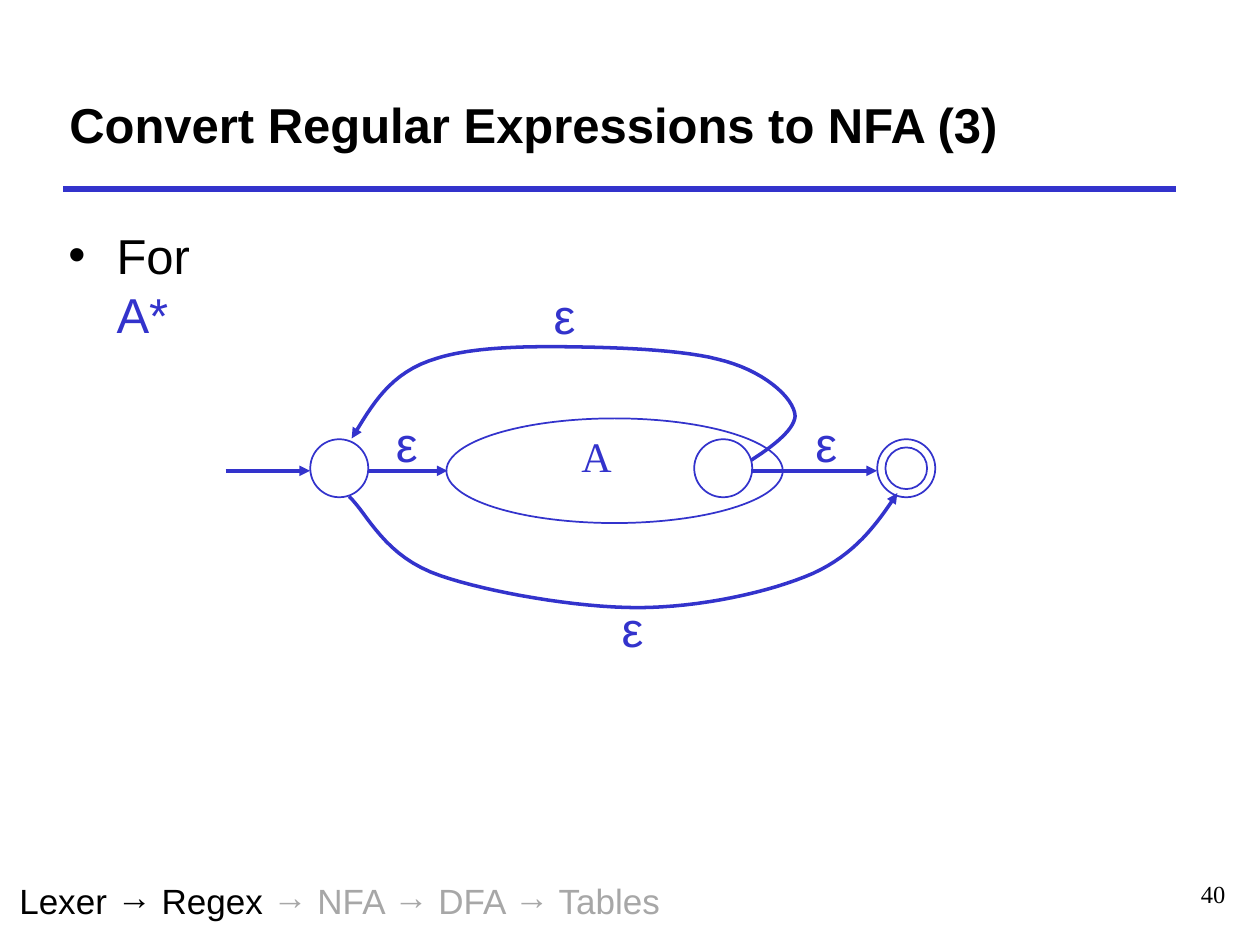
from lxml.etree import SubElement
from pptx import Presentation
from pptx.dml.color import RGBColor
from pptx.enum.shapes import MSO_CONNECTOR, MSO_SHAPE
from pptx.oxml.ns import qn
from pptx.util import Cm, Pt

BLACK = RGBColor(0x00, 0x00, 0x00)
BLUE = RGBColor(0x33, 0x33, 0xCC)
GRAY = RGBColor(0xA7, 0xA7, 0xA7)

BODY = {"name": "Arial", "size": Pt(28)}
FOOTER = {"name": "Arial", "size": Pt(20)}
ARROW = {"name": "Arial Narrow", "size": Pt(20)}
SERIF = {"name": "Times New Roman"}

LOOP_BACK = [
    (10.59, 3.56), (10.95, 3.33), (11.46, 2.97), (11.48, 2.67),
    (11.46, 2.29), (10.82, 1.73), (9.91, 1.52),
    (9.07, 1.3), (7.39, 1.27), (6.5, 1.27),
    (5.66, 1.27), (4.85, 1.32), (4.27, 1.5),
    (3.3, 1.78), (2.95, 2.46), (2.54, 3.12),
]
BYPASS = [
    (2.49, 4.29), (2.87, 4.65), (3.2, 5.51), (4.34, 5.89),
    (5.31, 6.22), (7.06, 6.53), (8.31, 6.53),
    (9.55, 6.53), (10.97, 6.22), (11.84, 5.84),
    (12.67, 5.46), (13.11, 4.88), (13.54, 4.22),
]


def add_text(slide, box, runs):
    """Add a one-paragraph text box; each run is (text, colour, font format)."""
    shape = slide.shapes.add_textbox(*map(Cm, box))
    frame = shape.text_frame
    frame.word_wrap = True
    for side in ("left", "top", "right", "bottom"):
        setattr(frame, f"margin_{side}", 0)
    paragraph = frame.paragraphs[0]
    for text, color, font_format in runs:
        run = paragraph.add_run()
        run.text = text
        run.font.color.rgb = color
        for name, value in font_format.items():
            setattr(run.font, name, value)
    return paragraph


def style_line(shape, width, arrow=False):
    """Give a shape or connector a blue line, with an optional arrowhead."""
    shape.line.color.rgb = BLUE
    shape.line.width = Pt(width)
    if arrow:
        line = shape.line._get_or_add_ln()
        SubElement(line, qn("a:tailEnd"), type="triangle")


def add_straight(slide, start, end, width, arrow=False):
    """Draw a straight connector without a shadow."""
    connector = slide.shapes.add_connector(
        MSO_CONNECTOR.STRAIGHT, *map(Cm, (*start, *end)))
    style_line(connector, width, arrow)
    SubElement(connector._element.spPr, qn("a:effectLst"))


def add_oval(slide, center, width, height):
    """Draw an unfilled oval around its centre."""
    x, y = center
    shape = slide.shapes.add_shape(
        MSO_SHAPE.OVAL, Cm(x - width / 2), Cm(y - height / 2), Cm(width), Cm(height))
    shape.shadow.inherit = False
    shape.fill.background()
    style_line(shape, 1)


def curve_points(controls, steps=16):
    """Sample a chain of cubic Bezier segments that share end points."""
    points = [controls[0]]
    for first in range(0, len(controls) - 1, 3):
        segment = controls[first:first + 4]
        for step in range(1, steps + 1):
            t = step / steps
            weights = ((1 - t) ** 3, 3 * t * (1 - t) ** 2, 3 * t * t * (1 - t), t ** 3)
            points.append(tuple(
                sum(w * point[axis] for w, point in zip(weights, segment))
                for axis in (0, 1)))
    return points


def add_curve(slide, origin, controls):
    """Draw a curved arrow whose control points are relative to the origin."""
    left, top = origin
    points = [(Cm(left + x), Cm(top + y)) for x, y in curve_points(controls)]
    builder = slide.shapes.build_freeform(*points[0])
    builder.add_line_segments(points[1:], close=False)
    shape = builder.convert_to_shape()
    shape.shadow.inherit = False
    shape.fill.background()
    style_line(shape, 2, arrow=True)


def add_header(slide, left, top, width):
    """Place the title and the rule below it."""
    add_text(slide, (left + 0.13, top, 18.8, 1.24),
             [("Convert Regular Expressions to NFA (3)", BLACK, BODY | {"bold": True})])
    add_straight(slide, (left, top + 1.91), (left + width, top + 1.91), 3)


def add_bullet(slide, left, top, width):
    """Place the bulleted expression."""
    paragraph = add_text(slide, (left, top, width, 1.24),
                         [("For ", BLACK, BODY), ("A*", BLUE, BODY)])
    properties = paragraph._p.get_or_add_pPr()
    for name, value in {"marL": Cm(0.97), "indent": Cm(-0.97)}.items():
        properties.set(name, str(value))
    SubElement(properties, qn("a:buFont"), typeface="Arial")
    SubElement(properties, qn("a:buChar"), char="•")


def add_automaton(slide, left, top):
    """Draw the NFA for the starred expression."""
    def at(x, y):
        return left + x, top + y

    add_oval(slide, at(7.84, 3.77), 6.78, 2.11)
    for x, diameter in ((2.29, 1.17), (10.03, 1.17), (13.72, 1.17), (13.72, 0.84)):
        add_oval(slide, at(x, 3.72), diameter, diameter)
    for start, end in ((0, 1.7), (2.87, 4.47), (10.59, 13.13)):
        add_straight(slide, at(start, 3.77), at(end, 3.77), 2, arrow=True)
    for controls in (LOOP_BACK, BYPASS):
        add_curve(slide, (left, top), controls)
    for x, y in ((6.61, 0.03), (3.43, 2.62), (11.89, 2.62), (7.98, 6.35)):
        add_text(slide, (*at(x, y), 0.51, 1.24), [("ε", BLUE, BODY)])
    add_text(slide, (*at(7.17, 2.95), 0.69, 1.09), [("A", BLUE, SERIF | {"size": Pt(24)})])


def add_footer(slide, left, top):
    """Place the progress trail and the page number."""
    runs = [("Lexer ", BLACK, FOOTER)]
    for stage, color in ((" Regex ", BLACK), (" NFA ", GRAY), (" DFA ", GRAY), (" Tables", GRAY)):
        runs += [("→", color, ARROW), (stage, color, FOOTER)]
    add_text(slide, (left, top, 13.2, 0.91), runs)
    number = add_text(slide, (left + 23.82, top, 0.74, 0.61),
                      [("40", BLACK, SERIF | {"size": Pt(14)})])
    number.line_spacing = Pt(16.3)


def main():
    """Build the slide and save the presentation."""
    presentation = Presentation()
    presentation.slide_width = Cm(25.4)
    presentation.slide_height = Cm(19.05)
    slide = presentation.slides.add_slide(presentation.slide_layouts[6])
    add_header(slide, 1.27, 1.9, 22.43)
    add_bullet(slide, 1.38, 4.55, 3.7)
    add_automaton(slide, 4.55, 5.72)
    add_footer(slide, 0.39, 17.73)
    presentation.save("out.pptx")


if __name__ == "__main__":
    main()
